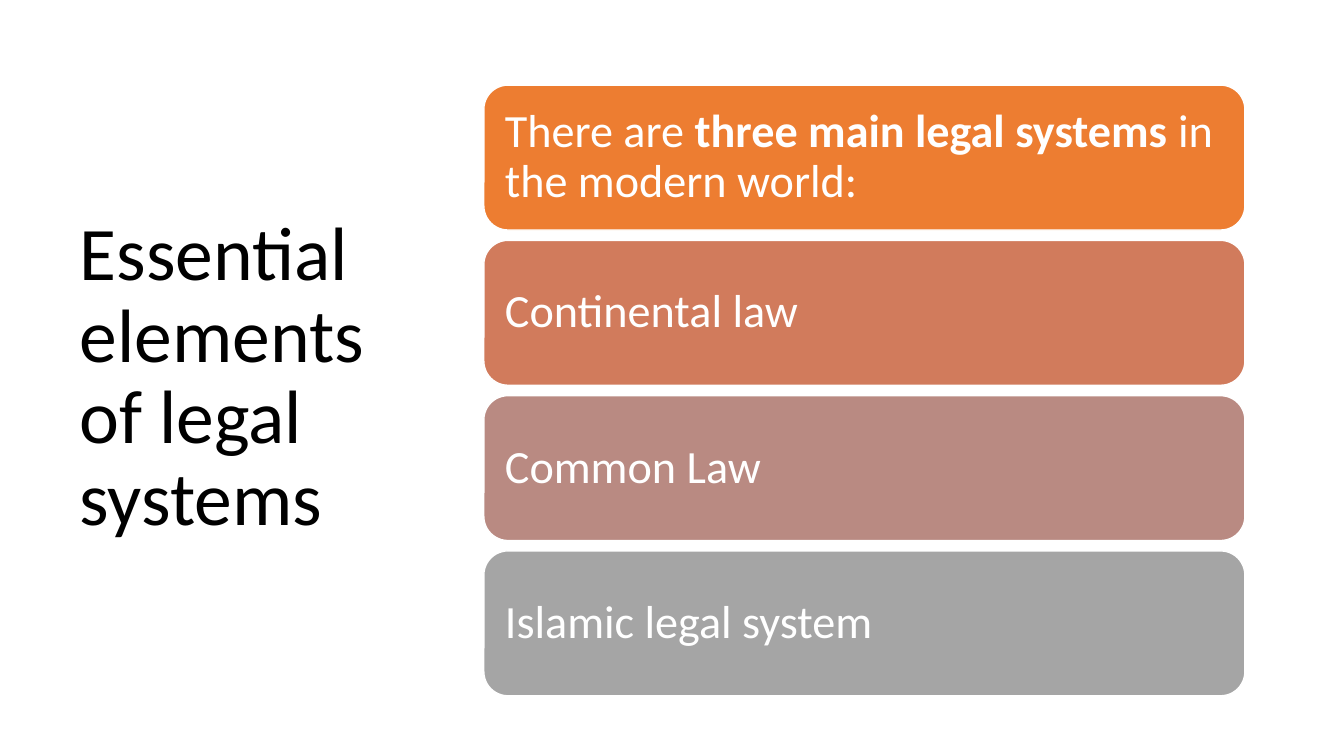
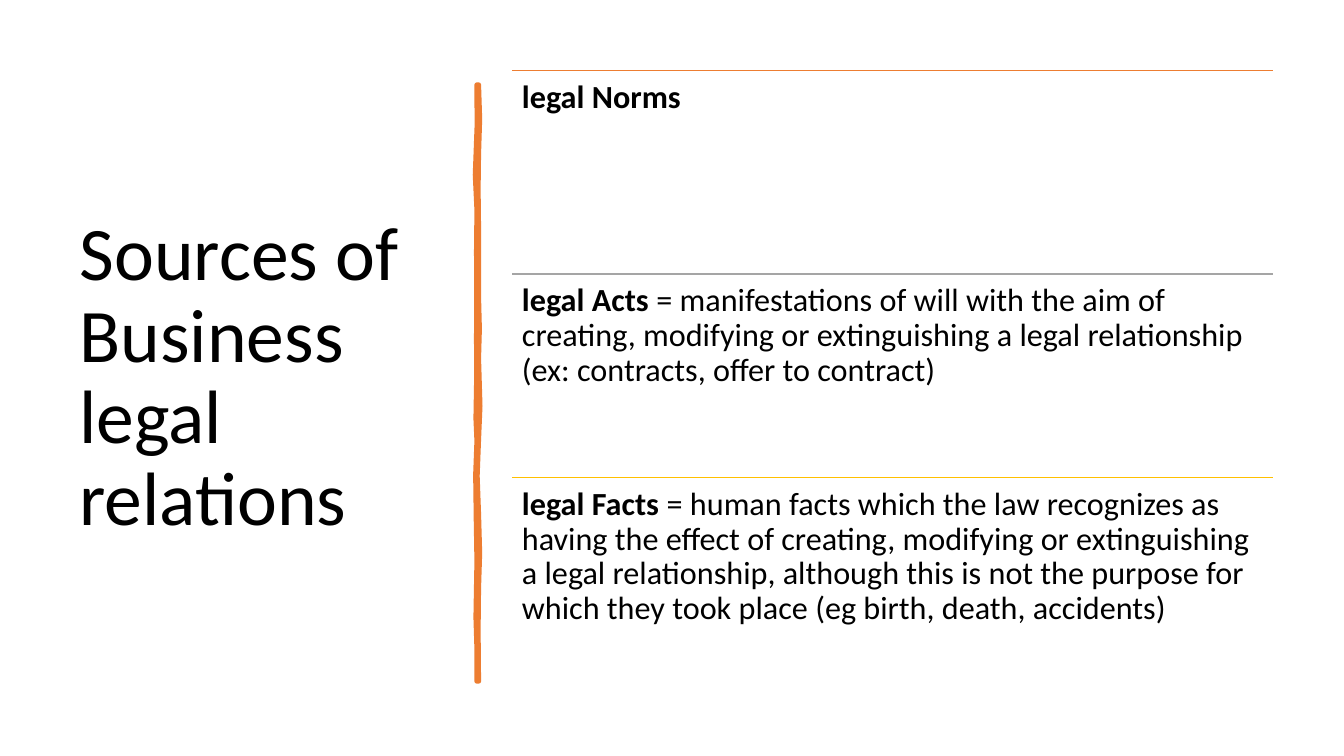
"""Build two slides on legal systems and the sources of business legal relations."""
from lxml import etree
from pptx import Presentation
from pptx.dml.color import RGBColor
from pptx.enum.shapes import MSO_CONNECTOR, MSO_SHAPE
from pptx.enum.text import MSO_ANCHOR, MSO_AUTO_SIZE, PP_ALIGN
from pptx.oxml.ns import qn
from pptx.util import Pt

MIDDLE, TOP = MSO_ANCHOR.MIDDLE, MSO_ANCHOR.TOP
LEFT = PP_ALIGN.LEFT
NO_AUTOFIT = MSO_AUTO_SIZE.NONE
ROUNDED = MSO_SHAPE.ROUNDED_RECTANGLE
STRAIGHT = MSO_CONNECTOR.STRAIGHT

FONT = "Calibri"
BLACK, WHITE = "000000", "FFFFFF"
ORANGE, GREY, GOLD = "ED7D31", "A5A5A5", "FFC000"
TITLES = ["Essential elements of legal systems", "Sources of Business legal relations"]
COLUMN_WIDTH = 543.6


def rgb(value):
    return RGBColor.from_string(value)


def write(shape, parts, size, color, anchor, inset):
    frame = shape.text_frame
    frame.word_wrap = True
    frame.auto_size = NO_AUTOFIT
    frame.vertical_anchor = anchor
    frame.margin_left = frame.margin_right = Pt(inset)
    frame.margin_top = frame.margin_bottom = Pt(inset)
    para = frame.paragraphs[0]
    para.alignment = LEFT
    para.line_spacing = 0.9
    for text, bold in parts:
        span = para.add_run()
        span.text = text
        span.font.name = FONT
        span.font.size = Pt(size)
        span.font.bold = bold
        span.font.color.rgb = rgb(color)


deck = Presentation()
deck.slide_width, deck.slide_height = Pt(960), Pt(540)
title_only = deck.slide_layouts[5]

for heading in TITLES:
    page = deck.slides.add_slide(title_only)
    title = page.shapes.title
    title.left, title.top, title.width, title.height = Pt(49.7), Pt(50.4), Pt(269.3), Pt(440)
    write(title, [(heading, False)], 54, BLACK, MIDDLE, 7.2)

systems_page, sources_page = deck.slides

systems = [
    (ORANGE, [("There are ", False), ("three main legal systems ", True),
              ("in the modern world:", False)]),
    ("D17B5C", [("Continental law", False)]),
    ("B98A82", [("Common Law", False)]),
    (GREY, [("Islamic legal system", False)]),
]
for index, (color, parts) in enumerate(systems):
    card = systems_page.shapes.add_shape(
        ROUNDED, Pt(345.6), Pt(60.8 + index * 110.9), Pt(COLUMN_WIDTH), Pt(103.5))
    card.shadow.inherit = False
    card.fill.solid()
    card.fill.fore_color.rgb = rgb(color)
    card.line.color.rgb = rgb(WHITE)
    card.line.width = Pt(1)
    write(card, parts, 33, WHITE, MIDDLE, 10)

right_edge = [(342, 60.5), (342.8, 85), (342, 110), (341.7, 135), (342, 163),
              (342, 212), (342.6, 235), (342, 256), (343, 290), (342, 314),
              (341, 340), (342, 367), (342.8, 395), (342, 420), (341.7, 450), (342, 486.7)]
left_edge = [(340.5, 486.7), (340.4, 460), (339.8, 441), (340.5, 401), (340, 370),
             (339.6, 339), (340.5, 315), (339.8, 299), (340.3, 270), (340.2, 241),
             (340.4, 210), (340.2, 180), (340.5, 150), (339.3, 125), (340.6, 90), (340.5, 60.5)]
start, *outline = [(Pt(x), Pt(y)) for x, y in right_edge + left_edge]
builder = sources_page.shapes.build_freeform(*start)
builder.add_line_segments(outline, close=True)
brush_stroke = builder.convert_to_shape()
brush_stroke.shadow.inherit = False
brush_stroke.fill.solid()
brush_stroke.fill.fore_color.rgb = rgb(ORANGE)
brush_stroke.line.color.rgb = rgb(ORANGE)
brush_stroke.line.width = Pt(3.25)

sources = [
    (ORANGE, "legal Norms", ""),
    (GREY, "legal Acts ", "= manifestations of will with the aim of creating, modifying or "
     "extinguishing a legal relationship (ex: contracts, offer to contract)"),
    (GOLD, "legal Facts ", "= human facts which the law recognizes as having the effect of "
     "creating, modifying or extinguishing a legal relationship, although this is not the "
     "purpose for which they took place (eg birth, death, accidents)"),
]
row_left, row_height = 365.8, 145.4
for index, (color, term, meaning) in enumerate(sources):
    row_top = 50.4 + index * row_height
    rule = sources_page.shapes.add_connector(
        STRAIGHT, Pt(row_left), Pt(row_top), Pt(row_left + COLUMN_WIDTH), Pt(row_top))
    rule.line.color.rgb = rgb(color)
    rule.line.width = Pt(1)
    etree.SubElement(rule._element.spPr, qn("a:effectLst"))
    box = sources_page.shapes.add_textbox(
        Pt(row_left), Pt(row_top), Pt(COLUMN_WIDTH), Pt(row_height))
    parts = [(term, True)] + ([(meaning, False)] if meaning else [])
    write(box, parts, 23, BLACK, TOP, 7)

deck.save("out.pptx")
